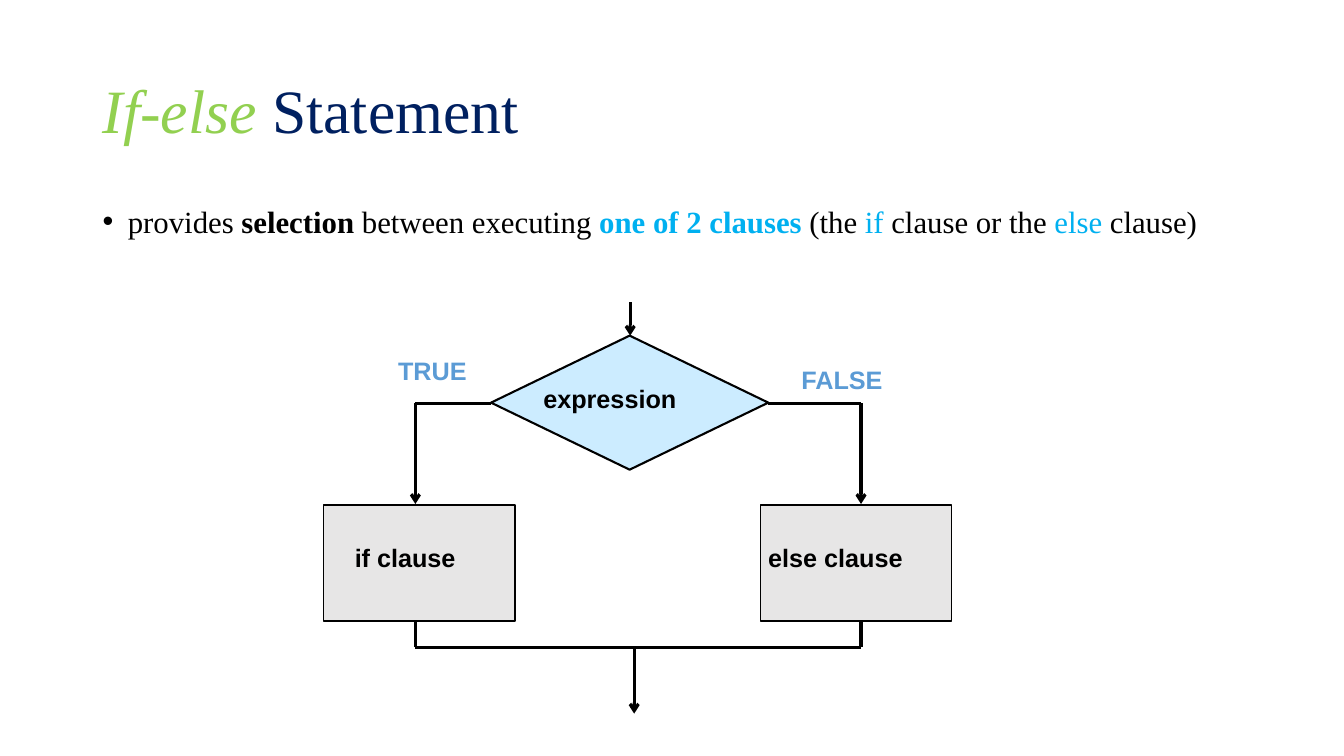
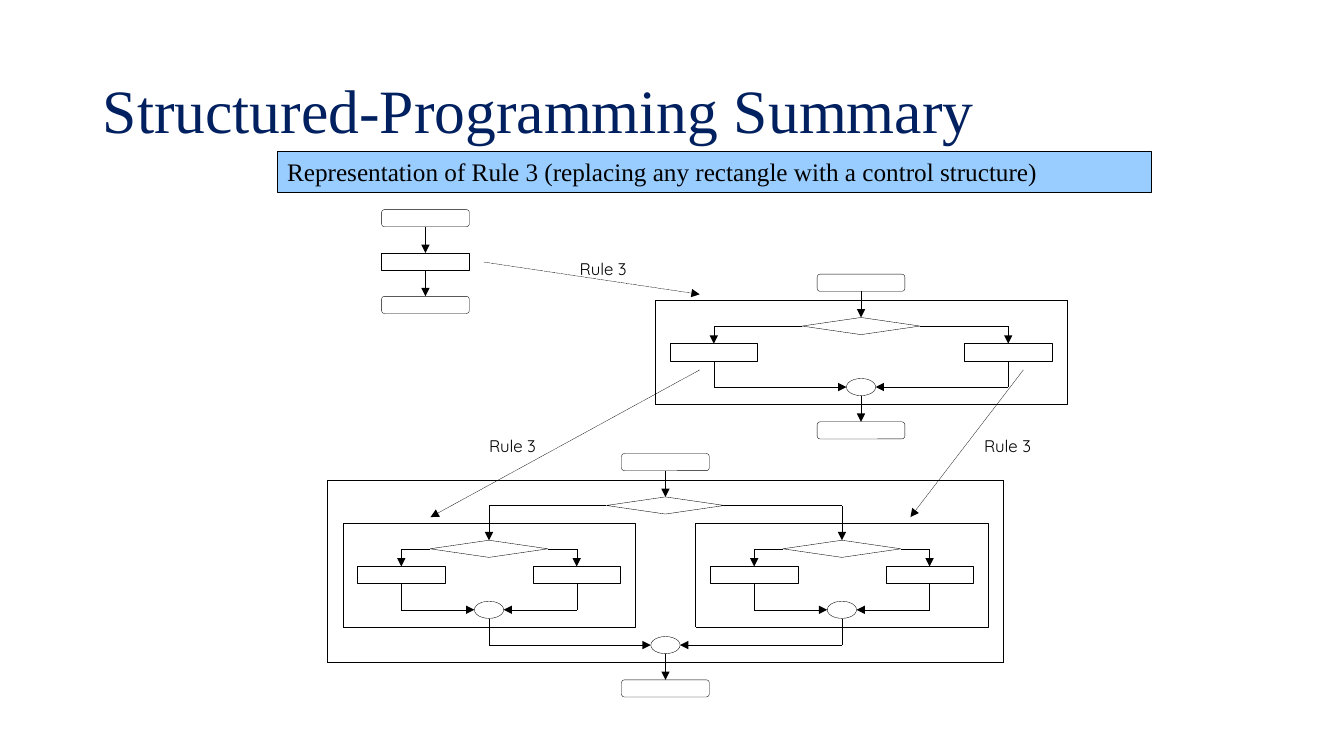
import pptx
import pptx.dml.color
import pptx.enum.dml
import pptx.enum.shapes
import pptx.enum.text
import pptx.oxml.ns
import pptx.util
from lxml import etree
from pptx.util import Inches

SHAPES = pptx.enum.shapes.MSO_SHAPE
ANCHOR = pptx.enum.text.MSO_ANCHOR
AUTO_SIZE = pptx.enum.text.MSO_AUTO_SIZE
BLACK, WHITE = "000000", "FFFFFF"
NAVY, GREEN, SKY, BLUE = "002060", "92D050", "00B0F0", "5B9BD5"
GRAY, PALE_BLUE, BANNER_BLUE = "E7E6E6", "CCECFF", "99CCFF"
SERIF, SANS, ROUNDED = "Times New Roman", "Arial", "Quicksand"
THIN = 0.25
NODE_WIDTH, NODE_HEIGHT = 0.87, 0.17
DECISION_WIDTH, MERGE_WIDTH = 1.17, 0.29
GAP = 0.26
SELECTION_HEIGHT = 0.78


def rgb(color):
    return pptx.dml.color.RGBColor.from_string(color)


def add_child(parent, tag, **attributes):
    return etree.SubElement(parent, pptx.oxml.ns.qn(tag), attributes)


def add_runs(paragraph, runs, font, size):
    for text, color, style in runs:
        run = paragraph.add_run()
        run.text = text
        run.font.name = font
        run.font.size = pptx.util.Pt(size)
        run.font.color.rgb = rgb(color)
        run.font.bold = style == "bold"
        run.font.italic = style == "italic"


def add_title_slide(presentation, runs):
    slide = presentation.slides.add_slide(presentation.slide_layouts[5])
    title = slide.shapes.title
    title.left, title.top = Inches(0.92), Inches(0.4)
    title.width, title.height = Inches(11.5), Inches(1.45)
    frame = title.text_frame
    frame.word_wrap = True
    frame.auto_size = AUTO_SIZE.NONE
    frame.vertical_anchor = ANCHOR.MIDDLE
    paragraph = frame.paragraphs[0]
    paragraph.alignment = pptx.enum.text.PP_ALIGN.LEFT
    paragraph.line_spacing = 0.9
    add_runs(paragraph, runs, SERIF, 44)
    return slide


def add_box(slide, kind, left, top, width, height, fill=None, line_width=THIN, dotted=False):
    shape = slide.shapes.add_shape(kind, Inches(left), Inches(top), Inches(width), Inches(height))
    shape.shadow.inherit = False
    if fill:
        shape.fill.solid()
        shape.fill.fore_color.rgb = rgb(fill)
    else:
        shape.fill.background()
    shape.line.color.rgb = rgb(BLACK)
    shape.line.width = pptx.util.Pt(line_width)
    if dotted:
        shape.line.dash_style = pptx.enum.dml.MSO_LINE.ROUND_DOT
    return shape


def add_line(slide, start, end, width=THIN, arrow=None, dotted=False):
    points = [Inches(value) for value in (*start, *end)]
    connector = slide.shapes.add_connector(pptx.enum.shapes.MSO_CONNECTOR.STRAIGHT, *points)
    connector.line.color.rgb = rgb(BLACK)
    connector.line.width = pptx.util.Pt(width)
    if dotted:
        connector.line.dash_style = pptx.enum.dml.MSO_LINE.ROUND_DOT
    properties = connector.element.spPr
    if arrow:
        add_child(properties.find(pptx.oxml.ns.qn("a:ln")), "a:tailEnd", type=arrow)
    add_child(properties, "a:effectLst")


def add_label(slide, text, left, top, width, color=BLACK):
    box = slide.shapes.add_textbox(Inches(left), Inches(top), Inches(width), Inches(0.4))
    box.text_frame.word_wrap = False
    box.text_frame.auto_size = AUTO_SIZE.SHAPE_TO_FIT_TEXT
    add_runs(box.text_frame.paragraphs[0], [(text, color, "bold")], SANS, 18)


def add_bullet(slide, runs, left, top, width, height):
    box = slide.shapes.add_textbox(Inches(left), Inches(top), Inches(width), Inches(height))
    box.text_frame.word_wrap = True
    paragraph = box.text_frame.paragraphs[0]
    paragraph.line_spacing = 0.9
    properties = paragraph._p.get_or_add_pPr()
    properties.set("marL", str(Inches(0.25)))
    properties.set("indent", str(-Inches(0.25)))
    add_child(properties, "a:buFont", typeface="Arial")
    add_child(properties, "a:buChar", char="•")
    add_runs(paragraph, runs, SERIF, 22)


def add_if_else_chart(slide, left, top):
    center, middle = left + 3.04, top + 1
    exit_level, exit_center = top + 3.42, left + 3.08
    branches = [
        (left + 0.91, left, left + 1.66),
        (left + 5.33, left + 4.33, left + 4.41),
    ]
    for branch, box_left, corner in branches:
        add_box(slide, SHAPES.RECTANGLE, box_left, top + 2.01, 1.9, 1.15, GRAY, 1)
        add_line(slide, (corner, middle), (branch, middle), 2.25)
        add_line(slide, (branch, middle), (branch, top + 2), 2.25, "arrow")
        add_line(slide, (branch, top + 3.17), (branch, exit_level), 2.25)
    add_line(slide, (branches[0][0], exit_level), (branches[1][0], exit_level), 2.25)
    add_line(slide, (exit_center, exit_level), (exit_center, top + 4.08), 2.25, "arrow")
    add_box(slide, SHAPES.FLOWCHART_DECISION, left + 1.66, top + 0.33, 2.75, 1.33, PALE_BLUE, 1.5)
    add_line(slide, (center, top), (center, top + 0.33), 2.25, "arrow")
    add_label(slide, "TRUE", left + 0.64, top + 0.48, 0.89, BLUE)
    add_label(slide, "FALSE", left + 4.64, top + 0.57, 1.02, BLUE)
    add_label(slide, "if clause", left + 0.21, top + 2.33, 1.21)
    add_label(slide, "else clause", left + 4.31, top + 2.33, 1.55)
    add_label(slide, "expression", left + 2.08, top + 0.75, 1.54)


def add_node(slide, kind, center, top, width=NODE_WIDTH, fill=None):
    return add_box(slide, kind, center - width / 2, top, width, NODE_HEIGHT, fill)


def add_terminal(slide, center, top):
    add_node(slide, SHAPES.ROUNDED_RECTANGLE, center, top).adjustments[0] = 0.17


def add_sequence(slide, center, top):
    step = NODE_HEIGHT + GAP
    add_terminal(slide, center, top)
    add_node(slide, SHAPES.RECTANGLE, center, top + step)
    add_terminal(slide, center, top + 2 * step)
    for level in (top + NODE_HEIGHT, top + step + NODE_HEIGHT):
        add_line(slide, (center, level), (center, level + GAP), arrow="triangle")


def add_selection(slide, center, top, reach, margin=0.58, nested_reach=None):
    half = NODE_HEIGHT / 2
    middle = top + half
    body_top = top + (0.43 if nested_reach else GAP)
    body_bottom = body_top + (SELECTION_HEIGHT if nested_reach else NODE_HEIGHT)
    merge = body_bottom + GAP
    add_node(slide, SHAPES.DIAMOND, center, top, DECISION_WIDTH, WHITE)
    add_node(slide, SHAPES.OVAL, center, merge - half, MERGE_WIDTH)
    for side in (-1, 1):
        branch = center + side * reach
        add_line(slide, (center + side * DECISION_WIDTH / 2, middle), (branch, middle))
        add_line(slide, (branch, middle), (branch, body_top), arrow="triangle")
        if nested_reach:
            add_selection(slide, branch, body_top, nested_reach)
        else:
            add_node(slide, SHAPES.RECTANGLE, branch, body_top)
        add_line(slide, (branch, body_bottom), (branch, merge))
        add_line(slide, (branch, merge), (center + side * MERGE_WIDTH / 2, merge), arrow="triangle")
    frame_top = top - NODE_HEIGHT
    add_box(slide, SHAPES.RECTANGLE, center - reach - margin, frame_top,
            2 * (reach + margin), merge + NODE_HEIGHT - frame_top, dotted=True)
    return merge + half


def add_selection_program(slide, center, top, reach, **options):
    selection_top = top + NODE_HEIGHT + GAP
    add_terminal(slide, center, top)
    add_line(slide, (center, top + NODE_HEIGHT), (center, selection_top), arrow="triangle")
    bottom = add_selection(slide, center, selection_top, reach, **options)
    add_line(slide, (center, bottom), (center, bottom + GAP), arrow="triangle")
    add_terminal(slide, center, bottom + GAP)


def add_rule(slide, start, end, label_left, label_top):
    add_line(slide, start, end, arrow="triangle", dotted=True)
    box = slide.shapes.add_textbox(Inches(label_left), Inches(label_top), Inches(0.75), Inches(0.17))
    frame = box.text_frame
    frame.word_wrap = True
    frame.margin_left = frame.margin_top = frame.margin_right = frame.margin_bottom = 0
    add_runs(frame.paragraphs[0], [("Rule 3", BLACK, "")], ROUNDED, 12)


def add_banner(slide, text, left, top, width, height):
    banner = add_box(slide, SHAPES.RECTANGLE, left, top, width, height, BANNER_BLUE, 0.75)
    banner.text_frame.word_wrap = True
    banner.text_frame.vertical_anchor = ANCHOR.TOP
    paragraph = banner.text_frame.paragraphs[0]
    paragraph.alignment = pptx.enum.text.PP_ALIGN.LEFT
    add_runs(paragraph, [(text, BLACK, "")], SERIF, 18)


def build_if_else_slide(presentation):
    slide = add_title_slide(presentation, [("If-else", GREEN, "italic"), (" Statement", NAVY, "")])
    add_bullet(slide, [
        ("provides ", BLACK, ""),
        ("selection", BLACK, "bold"),
        (" between executing ", BLACK, ""),
        ("one of 2 clauses", SKY, "bold"),
        (" (the ", BLACK, ""),
        ("if", SKY, ""),
        (" clause or the ", BLACK, ""),
        ("else", SKY, ""),
        (" clause)", BLACK, ""),
    ], 0.92, 2, 11.5, 4.76)
    add_if_else_chart(slide, 3.21, 3)


def build_summary_slide(presentation):
    slide = add_title_slide(presentation, [("Structured-Programming Summary", NAVY, "")])
    add_sequence(slide, 4.22, 2.08)
    add_selection_program(slide, 8.54, 2.72, 1.46)
    add_selection_program(slide, 6.6, 4.5, 1.75, margin=1.6, nested_reach=0.87)
    add_rule(slide, (4.8, 2.6), (6.94, 2.92), 5.75, 2.57)
    add_rule(slide, (6.94, 3.67), (4.27, 5.13), 4.85, 4.32)
    add_rule(slide, (10.15, 3.67), (9.03, 5.13), 9.76, 4.32)
    add_banner(slide, "Representation of Rule 3 (replacing any rectangle with a control structure)",
               2.75, 1.5, 8.67, 0.41)


def main():
    presentation = pptx.Presentation()
    presentation.slide_width, presentation.slide_height = Inches(13.33), Inches(7.5)
    build_if_else_slide(presentation)
    build_summary_slide(presentation)
    presentation.save("out.pptx")


if __name__ == "__main__":
    main()
